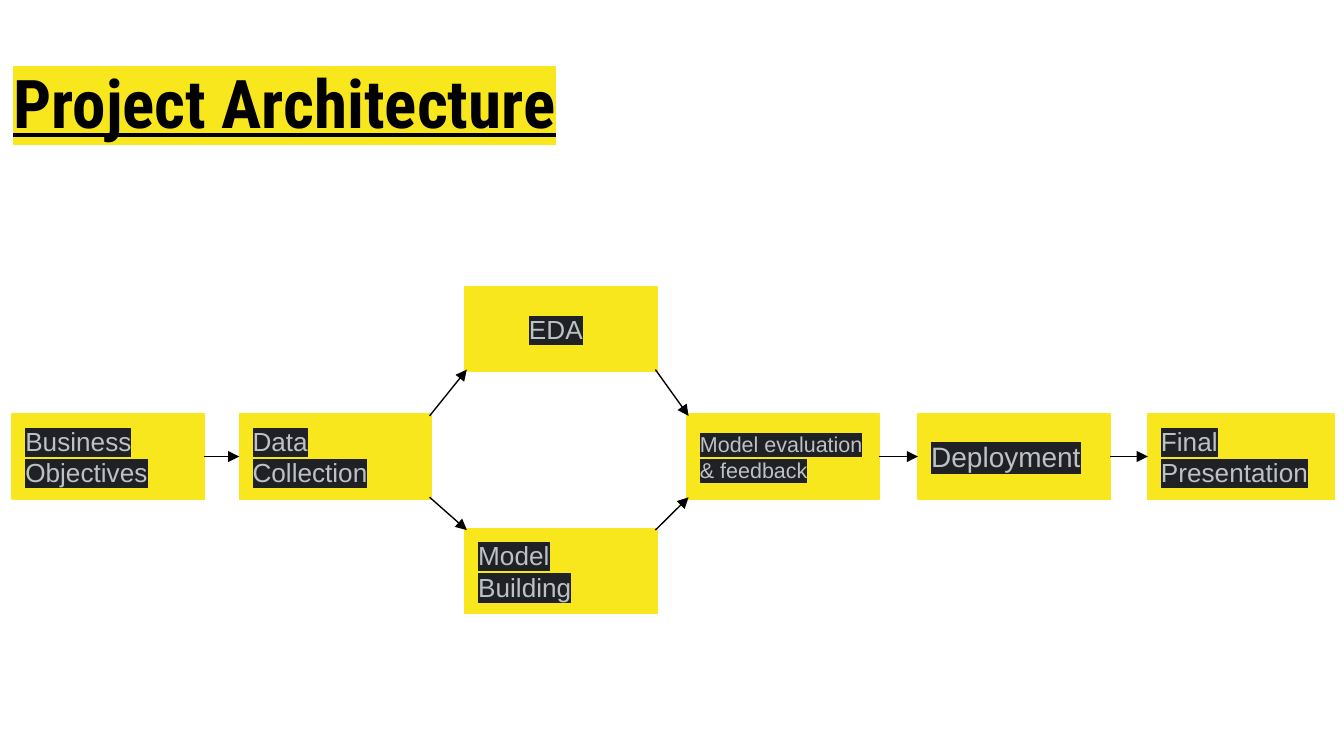
from dataclasses import dataclass
from lxml.etree import SubElement
from pptx import Presentation
from pptx.dml.color import RGBColor
from pptx.enum.shapes import MSO_CONNECTOR, MSO_SHAPE
from pptx.enum.text import MSO_ANCHOR, MSO_AUTO_SIZE, PP_ALIGN
from pptx.oxml.ns import qn
from pptx.util import Pt


@dataclass(frozen=True)
class Theme:
    gold: str = "F8E71C"
    dark: str = "202124"
    grey: str = "BDC1C6"
    black: str = "000000"
    head: str = "Roboto Condensed"
    sans: str = "Arial"
    title: float = 36
    label: float = 14
    large: float = 15
    small: float = 11.5
    line: float = 0.75
    pad: float = 7.2


THEME = Theme()
WIDE, HIGH = 103, 45.6
COLS = (6.5, 128.2, 249.1, 367.9, 491.8, 614.9)
TOP, MID, LOW = 153.4, 221.8, 283


@dataclass(frozen=True)
class Box:
    left: float
    top: float
    wide: float = WIDE

    def port(self, right):
        return self.left + right * self.wide, self.top + HIGH / 2

    def corner(self, right, low):
        x = self.left + 1 + right * (self.wide - 2)
        y = self.top + 1 + low * (HIGH - 2)
        return x, y


def rgb(code):
    return RGBColor.from_string(code)


def write(shape, text, size=THEME.label, face=THEME.sans, color=THEME.grey,
          mark=THEME.dark, bold=False, under=False, anchor=MSO_ANCHOR.MIDDLE,
          indent=0, top=THEME.pad):
    frame = shape.text_frame
    frame.word_wrap = True
    frame.auto_size = MSO_AUTO_SIZE.NONE
    frame.vertical_anchor = anchor
    frame.margin_left = frame.margin_right = frame.margin_bottom = Pt(THEME.pad)
    frame.margin_top = Pt(top)
    para = frame.paragraphs[0]
    para.alignment = PP_ALIGN.LEFT
    if indent:
        props = para._p.get_or_add_pPr()
        props.set("marL", str(Pt(indent)))
        props.set("indent", "0")
    run = para.add_run()
    run.text = text
    font = run.font
    font.size, font.name = Pt(size), face
    font.bold, font.underline = bold, under
    font.color.rgb = rgb(color)
    props = run._r.get_or_add_rPr()
    glow = SubElement(props, qn("a:highlight"))
    SubElement(glow, qn("a:srgbClr"), val=mark)
    props.find(qn("a:solidFill")).addnext(glow)


def add_title(slide, text):
    title = slide.shapes.title
    title.left, title.top = Pt(0), Pt(23)
    title.width, title.height = Pt(720), Pt(382)
    write(title, text, size=THEME.title, face=THEME.head, color=THEME.black,
          mark=THEME.gold, bold=True, under=True, anchor=MSO_ANCHOR.TOP, top=9.7)


def add_step(slide, box, text, **style):
    shape = slide.shapes.add_shape(
        MSO_SHAPE.RECTANGLE, Pt(box.left), Pt(box.top), Pt(box.wide), Pt(HIGH))
    shape.shadow.inherit = False
    shape.fill.solid()
    shape.fill.fore_color.rgb = rgb(THEME.gold)
    shape.line.color.rgb = rgb(THEME.gold)
    shape.line.width = Pt(THEME.line)
    write(shape, text, **style)


def add_arrow(slide, start, end):
    ends = [Pt(n) for n in (*start, *end)]
    arrow = slide.shapes.add_connector(MSO_CONNECTOR.STRAIGHT, *ends)
    arrow.line.color.rgb = rgb(THEME.black)
    arrow.line.width = Pt(THEME.line)
    SubElement(arrow.line._get_or_add_ln(), qn("a:tailEnd"), type="triangle")
    SubElement(arrow._element.spPr, qn("a:effectLst"))


def main():
    deck = Presentation()
    deck.slide_width, deck.slide_height = Pt(720), Pt(405)
    slide = deck.slides.add_slide(deck.slide_layouts[5])
    add_title(slide, "Project Architecture")

    goal, data = Box(COLS[0], MID), Box(COLS[1], MID)
    study, model = Box(COLS[2], TOP), Box(COLS[2], LOW)
    check, launch = Box(COLS[3], MID), Box(COLS[4], MID)
    final = Box(COLS[5], MID, 100)

    add_step(slide, goal, "Business Objectives")
    add_step(slide, data, "Data Collection")
    add_step(slide, study, "EDA", indent=27.2)
    add_step(slide, model, "Model Building")
    add_step(slide, check, "Model evaluation & feedback", size=THEME.small)
    add_step(slide, launch, "Deployment", size=THEME.large)
    add_step(slide, final, "Final Presentation")

    for near, far in ((goal, data), (check, launch), (launch, final)):
        add_arrow(slide, near.port(1), far.port(0))
    for branch, low in ((study, 0), (model, 1)):
        add_arrow(slide, data.corner(1, low), branch.corner(0, 1 - low))
        add_arrow(slide, branch.corner(1, 1 - low), check.corner(0, low))

    deck.save("out.pptx")


if __name__ == "__main__":
    main()
